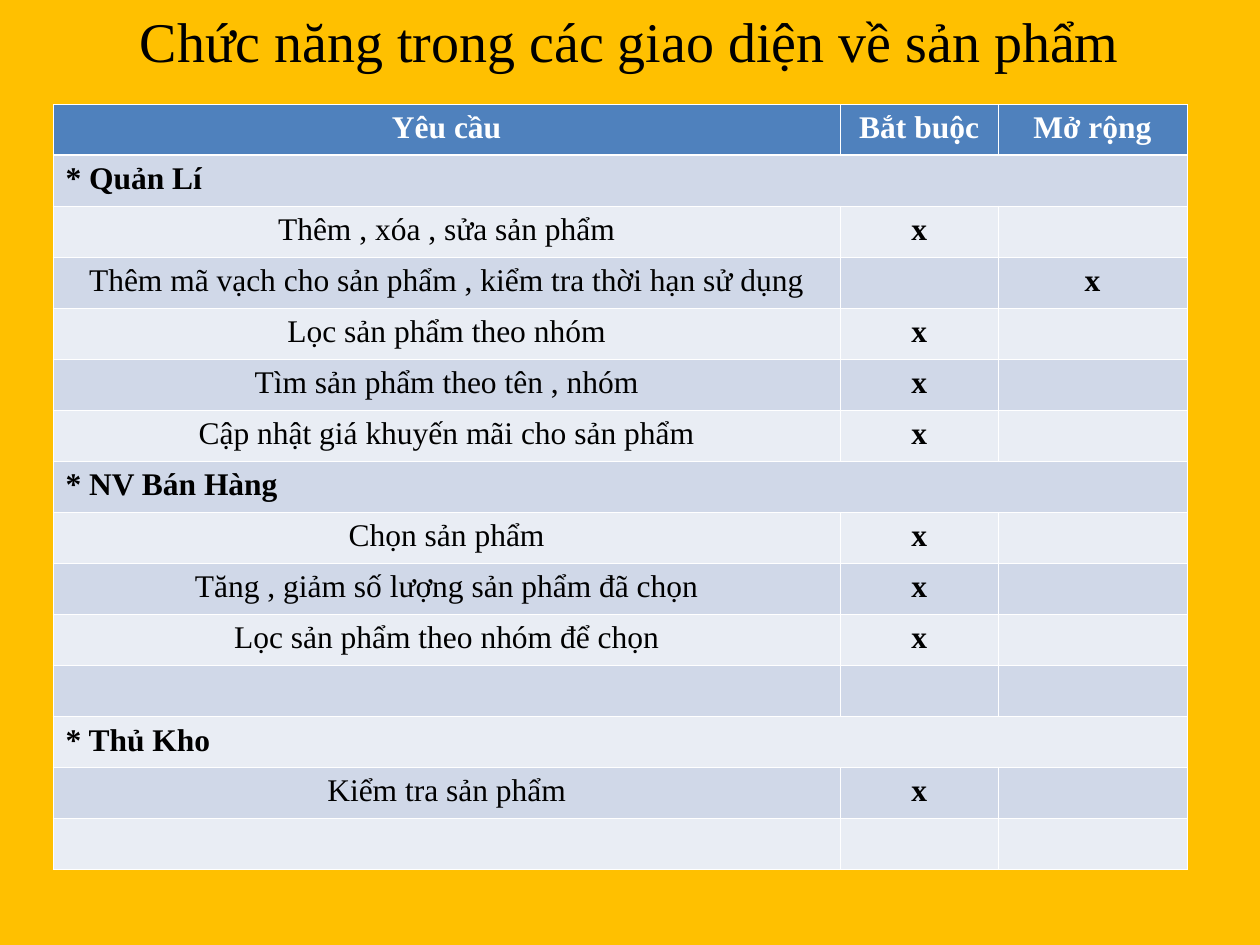
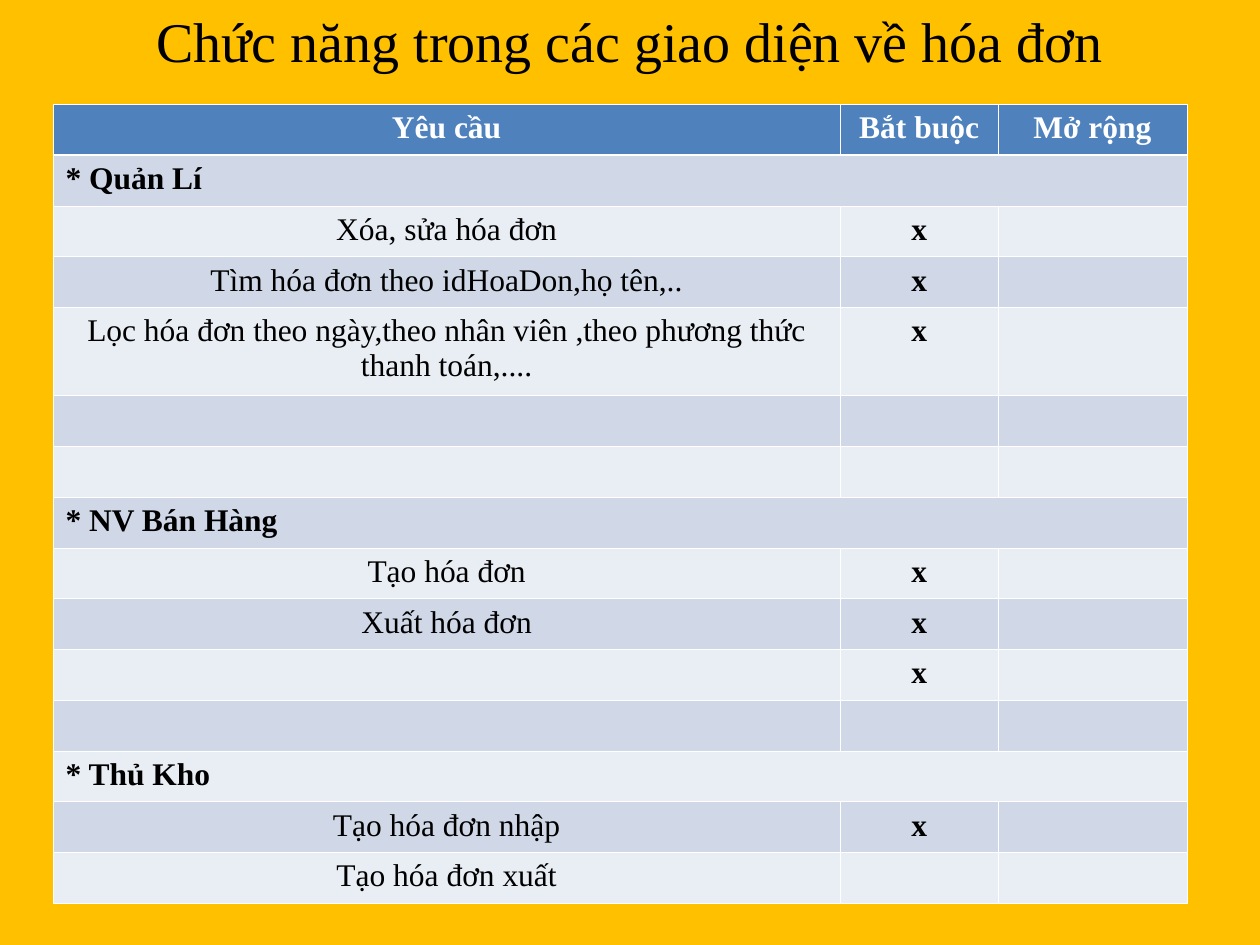
from lxml.etree import SubElement
from pptx import Presentation
from pptx.dml.color import RGBColor
from pptx.enum.text import MSO_AUTO_SIZE as AutoSize, PP_ALIGN as Align
from pptx.oxml.ns import qn
from pptx.util import Inches, Pt

COLORS = {
    "background": "FFC000",
    "header": "4F81BD",
    "odd_row": "D0D8E8",
    "even_row": "E9EDF4",
    "border": "FFFFFF",
    "header_text": "FFFFFF",
    "text": "000000",
}
FONT = "Times New Roman"
HEADINGS = ("Yêu cầu", "Bắt buộc", "Mở rộng")
COLUMN_WIDTHS = (6.25, 1.25, 1.5)
TABLE_LEFT, TABLE_TOP = Inches(0.42), Inches(0.83)
ROW_HEIGHT, TWO_LINE_HEIGHT = Pt(29), Inches(0.7)
LONGEST_LINE = 60
THIN, THICK = Pt(0.45), Pt(1.47)

# Rows of the requirement tables
def group(name):
    return (f"* {name}",)


def required(text=""):
    return (text, "x", "")


def extension(text):
    return (text, "", "x")


def unmarked(text=""):
    return (text, "", "")


PRODUCT_ROWS = [
    group("Quản Lí"),
    required("Thêm , xóa , sửa sản phẩm"),
    extension("Thêm mã vạch cho sản phẩm , kiểm tra thời hạn sử dụng"),
    required("Lọc sản phẩm theo nhóm"),
    required("Tìm sản phẩm theo tên , nhóm"),
    required("Cập nhật giá khuyến mãi cho sản phẩm"),
    group("NV Bán Hàng"),
    required("Chọn sản phẩm"),
    required("Tăng , giảm số lượng sản phẩm đã chọn"),
    required("Lọc sản phẩm theo nhóm để chọn"),
    unmarked(),
    group("Thủ Kho"),
    required("Kiểm tra sản phẩm"),
    unmarked(),
]
INVOICE_ROWS = [
    group("Quản Lí"),
    required("Xóa, sửa hóa đơn"),
    required("Tìm hóa đơn theo idHoaDon,họ tên,.."),
    required("Lọc hóa đơn theo ngày,theo nhân viên ,theo phương thức thanh toán,...."),
    unmarked(),
    unmarked(),
    group("NV Bán Hàng"),
    required("Tạo hóa đơn"),
    required("Xuất hóa đơn"),
    required(),
    unmarked(),
    group("Thủ Kho"),
    required("Tạo hóa đơn nhập"),
    unmarked("Tạo hóa đơn xuất"),
]
PAGES = {
    "Chức năng trong các giao diện về sản phẩm": PRODUCT_ROWS,
    "Chức năng trong các giao diện về hóa đơn": INVOICE_ROWS,
}


def write(frame, text, size, color="text", bold=False, align=Align.CENTER):
    para = frame.paragraphs[0]
    para.alignment = align
    span = para.add_run()
    span.text = text
    for name, value in {"name": FONT, "size": Pt(size), "bold": bold}.items():
        setattr(span.font, name, value)
    span.font.color.rgb = RGBColor.from_string(COLORS[color])


def add_title(page, text, width):
    box = page.shapes.add_textbox(0, 0, width, Inches(0.64))
    frame = box.text_frame
    frame.word_wrap = True
    frame.auto_size = AutoSize.SHAPE_TO_FIT_TEXT
    write(frame, text, 32)


def set_borders(cell, top, bottom):
    properties = cell._tc.get_or_add_tcPr()
    for side, width in {"L": THIN, "R": THIN, "T": top, "B": bottom}.items():
        line = SubElement(properties, qn(f"a:ln{side}"), w=str(int(width)))
        fill = SubElement(line, qn("a:solidFill"))
        SubElement(fill, qn("a:srgbClr"), val=COLORS["border"])


def style_cell(cell, row_number):
    """Draw the borders first, since the fill must follow them."""
    if not cell.is_spanned:
        set_borders(cell, top=THICK if row_number == 1 else THIN,
                    bottom=THICK if row_number == 0 else THIN)
    band = "odd_row" if row_number % 2 else "even_row"
    cell.fill.solid()
    cell.fill.fore_color.rgb = RGBColor.from_string(
        COLORS["header" if row_number == 0 else band])


def add_requirement_table(page, requirements):
    rows = [HEADINGS, *requirements]
    heights = [TWO_LINE_HEIGHT if len(row[0]) > LONGEST_LINE else ROW_HEIGHT
               for row in rows]
    table = page.shapes.add_table(
        len(rows), len(HEADINGS), TABLE_LEFT, TABLE_TOP,
        Inches(sum(COLUMN_WIDTHS)), sum(heights)).table
    for column, width in zip(table.columns, COLUMN_WIDTHS):
        column.width = Inches(width)

    for number, (row, height) in enumerate(zip(rows, heights)):
        table.rows[number].height = height
        is_header, is_group = number == 0, len(row) == 1
        if is_group:
            table.cell(number, 0).merge(table.cell(number, len(HEADINGS) - 1))
        for cell in table.rows[number].cells:
            style_cell(cell, number)
        for column, text in enumerate(row):
            if text:
                write(table.cell(number, column).text_frame, text, 18,
                      color="header_text" if is_header else "text",
                      bold=is_header or is_group or column > 0,
                      align=Align.LEFT if is_group else Align.CENTER)


def main():
    deck = Presentation()
    deck.slide_width, deck.slide_height = Inches(10), Inches(7.5)
    for title, requirements in PAGES.items():
        page = deck.slides.add_slide(deck.slide_layouts[6])
        page.background.fill.solid()
        page.background.fill.fore_color.rgb = RGBColor.from_string(COLORS["background"])
        add_requirement_table(page, requirements)
        add_title(page, title, deck.slide_width)
    deck.save("out.pptx")


if __name__ == "__main__":
    main()
